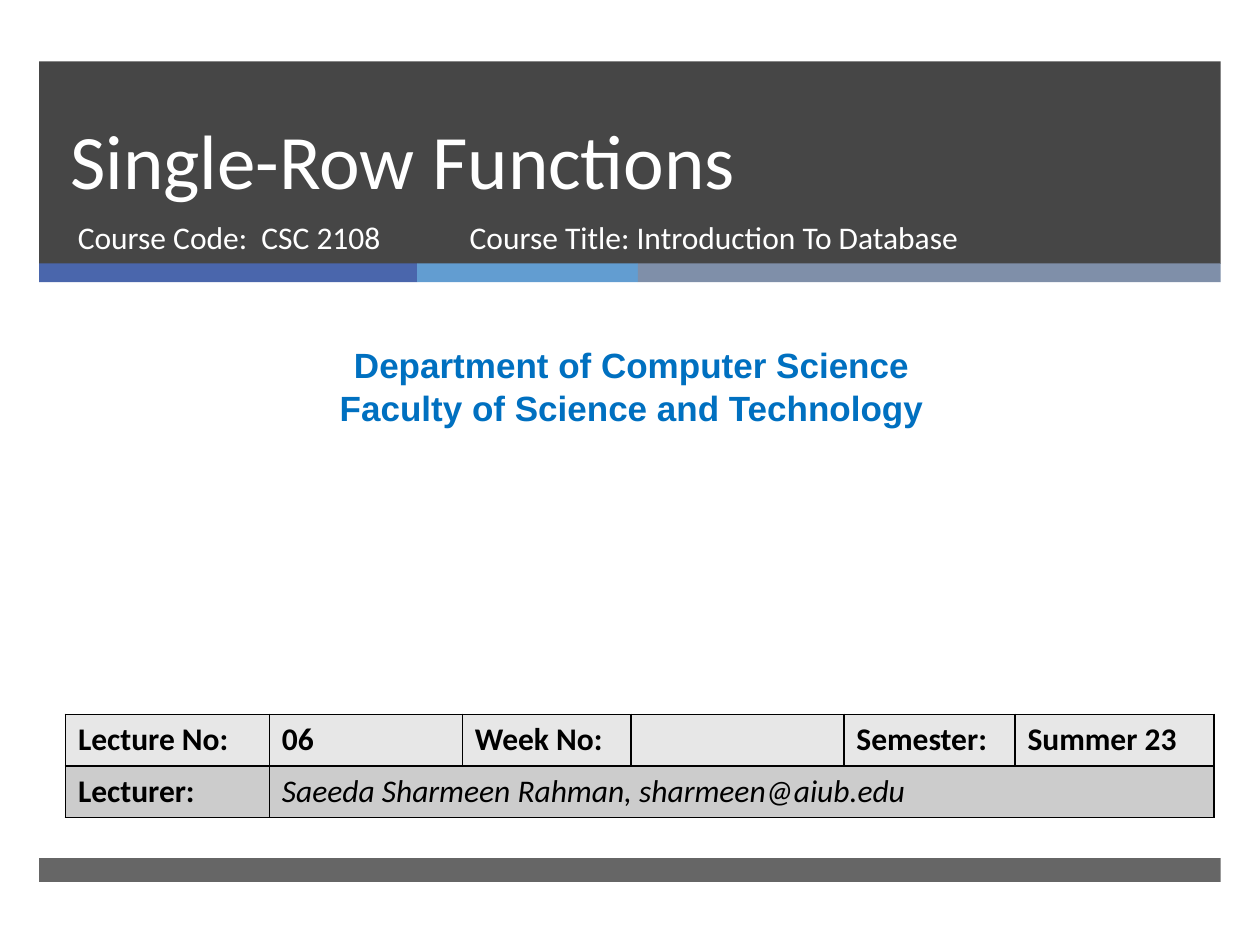
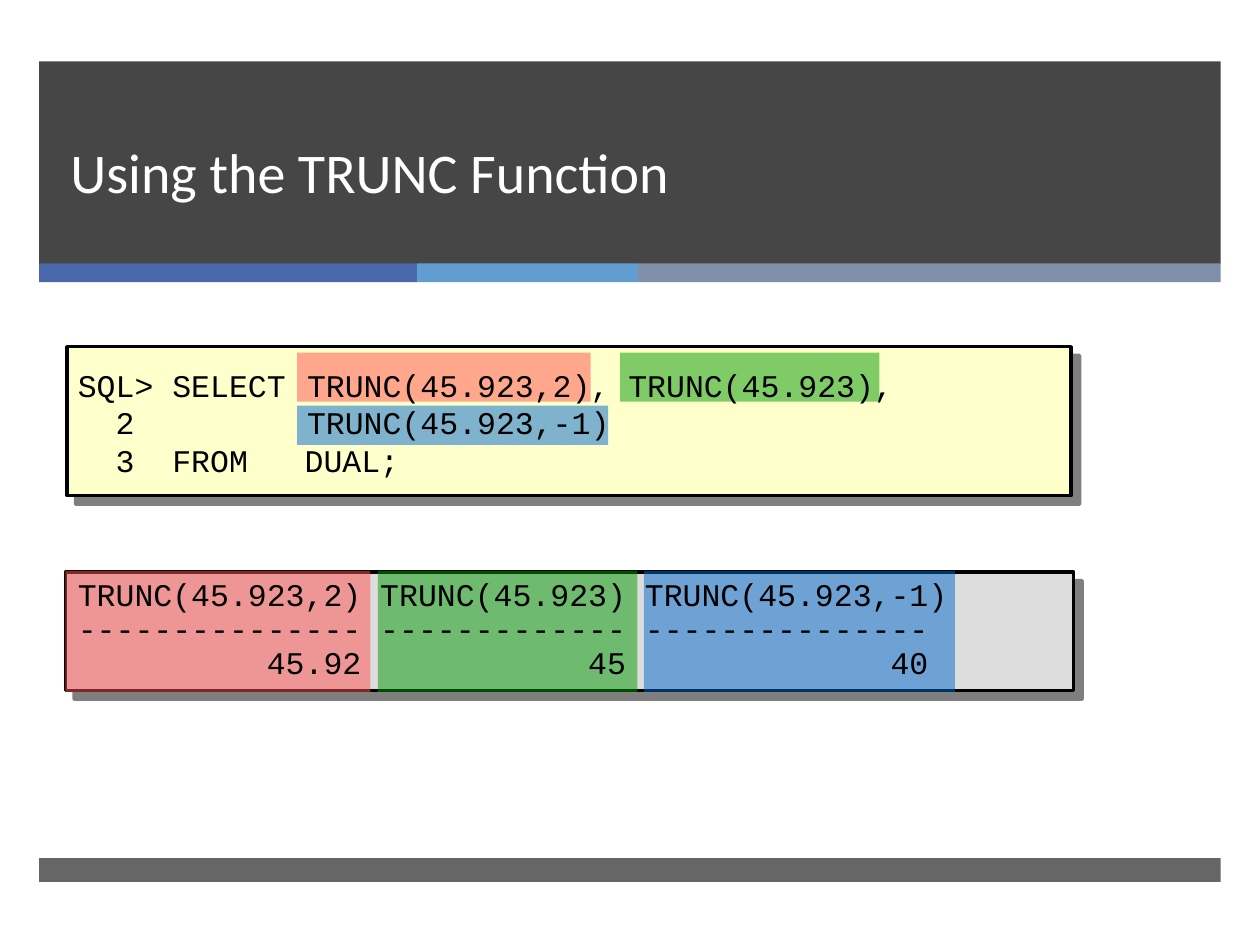
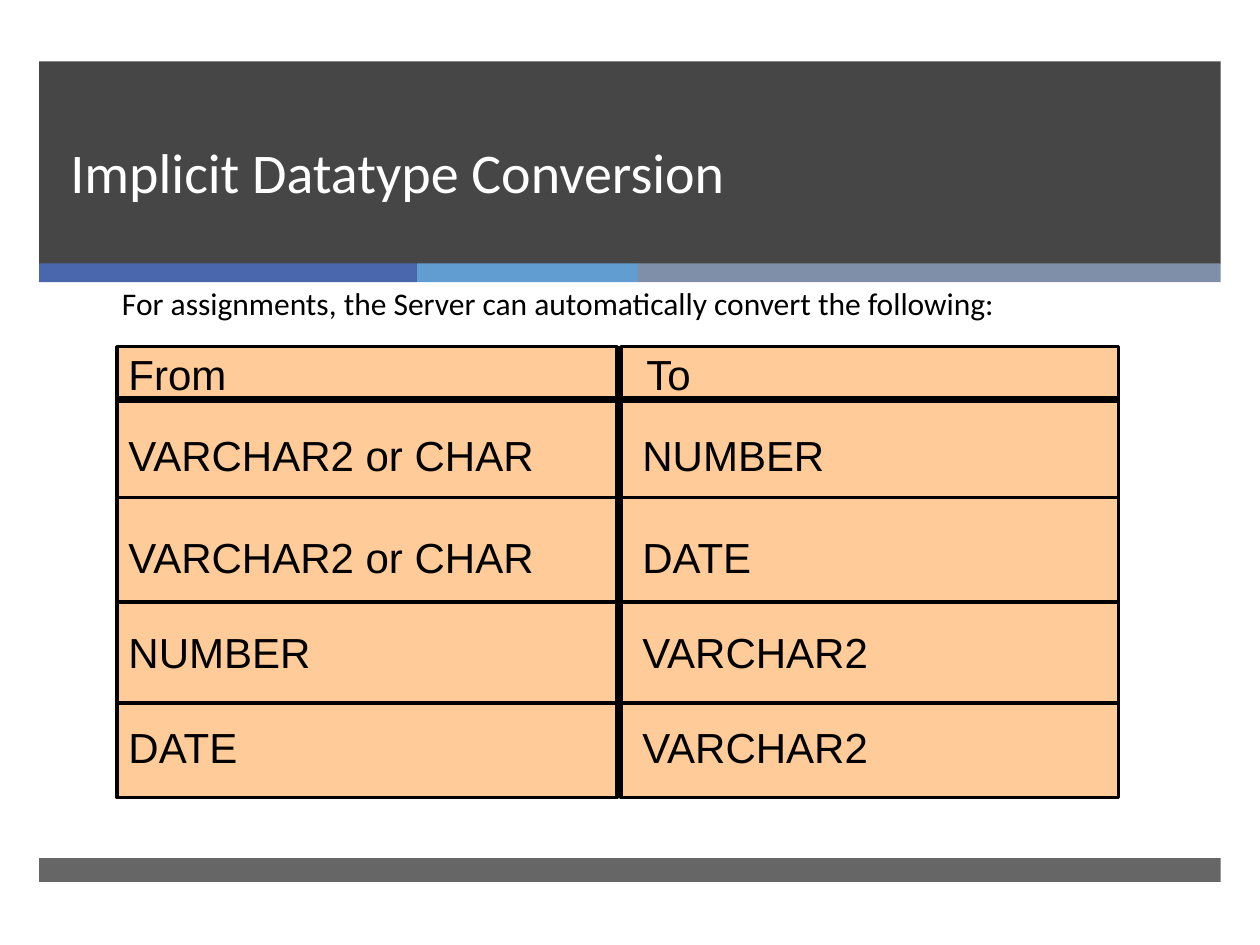
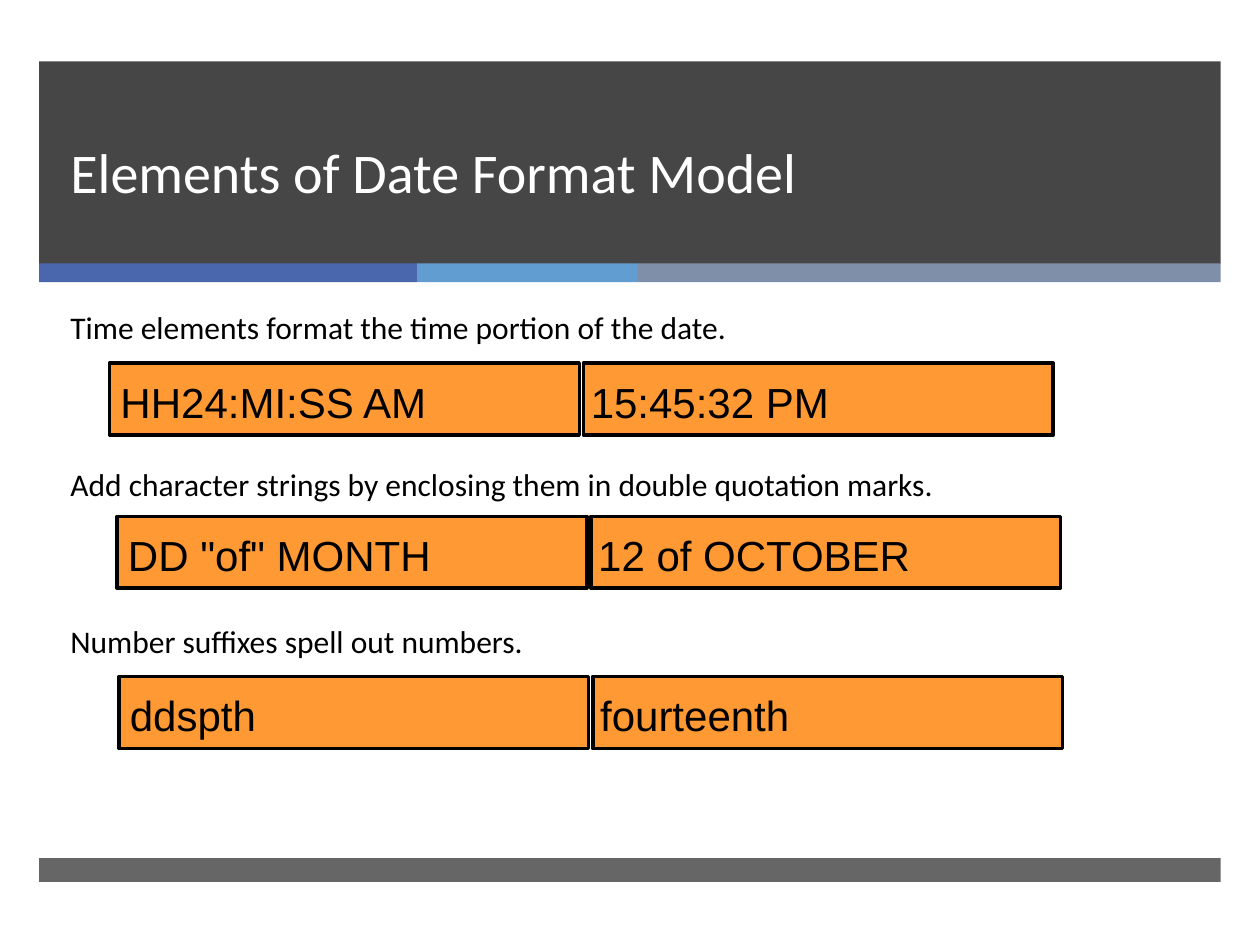
from lxml.etree import SubElement
from pptx import Presentation
from pptx.dml.color import RGBColor
from pptx.enum.shapes import MSO_CONNECTOR, MSO_SHAPE
from pptx.enum.text import MSO_ANCHOR, PP_ALIGN
from pptx.oxml.ns import qn
from pptx.util import Cm, Pt

BLACK = RGBColor(0x00, 0x00, 0x00)
WHITE = RGBColor(0xFF, 0xFF, 0xFF)
DARK = RGBColor(0x26, 0x26, 0x26)
NAVY = RGBColor(0x4A, 0x66, 0xAC)
SKY = RGBColor(0x62, 0x9D, 0xD1)
SLATE = RGBColor(0x7F, 0x8F, 0xA9)
BLUE = RGBColor(0x00, 0x70, 0xC0)
CREAM = RGBColor(0xFF, 0xFF, 0xCC)
SILVER = RGBColor(0xDD, 0xDD, 0xDD)
RED = RGBColor(0xFF, 0x50, 0x50)
GREEN = RGBColor(0x00, 0x99, 0x00)
COBALT = RGBColor(0x00, 0x66, 0xCC)
PEACH = RGBColor(0xFF, 0xCC, 0x99)
ORANGE = RGBColor(0xFF, 0x99, 0x33)
LIGHT = RGBColor(0xE7, 0xE7, 0xE7)
GREY = RGBColor(0xCC, 0xCC, 0xCC)

BODY, SANS, MONO = "Calibri", "Arial", "Courier New"
LEFT, WIDTH = 0.79, 23.82


def add_box(slide, x, y, w, h, color, alpha=100, line=0, shadow=False):
    """Add a filled rectangle; alpha is the opacity in percent."""
    box = slide.shapes.add_shape(
        MSO_SHAPE.RECTANGLE, Cm(x), Cm(y), Cm(w), Cm(h))
    box.shadow.inherit = False
    box.fill.solid()
    box.fill.fore_color.rgb = color
    props = box._element.spPr
    if alpha < 100:
        tint = props.find(".//" + qn("a:srgbClr"))
        SubElement(tint, qn("a:alpha"), val=str(alpha * 1000))
    if line:
        box.line.color.rgb = BLACK
        box.line.width = Pt(line)
    else:
        box.line.fill.background()
    if shadow:
        drop = SubElement(
            props.find(qn("a:effectLst")), qn("a:outerShdw"), blurRad="0",
            dist=str(Pt(7.1)), dir="2700000", algn="ctr", rotWithShape="0")
        shade = SubElement(drop, qn("a:srgbClr"), val="000000")
        SubElement(shade, qn("a:alpha"), val="50000")


def style(para, size, font=BODY, color=BLACK, bold=False, italic=False):
    for run in para.runs:
        face = run.font
        face.name, face.size = font, Pt(size)
        face.bold, face.italic = bold, italic
        face.color.rgb = color


def add_text(slide, lines, x, y, w, h, size=18, font=BODY, color=BLACK,
             bold=False, align=PP_ALIGN.LEFT, anchor=MSO_ANCHOR.TOP,
             pitch=None, gap=0, tabs=()):
    """Add one paragraph per line; gap is the space between them in points."""
    frame = slide.shapes.add_textbox(Cm(x), Cm(y), Cm(w), Cm(h)).text_frame
    frame.word_wrap = True
    frame.vertical_anchor = anchor
    frame.text = "\n".join(lines)
    for i, para in enumerate(frame.paragraphs):
        if tabs:
            stops = SubElement(para._p.get_or_add_pPr(), qn("a:tabLst"))
            for stop in tabs:
                SubElement(stops, qn("a:tab"), pos=str(Cm(stop)), algn="l")
        para.alignment = align
        if pitch:
            para.line_spacing = pitch
        if gap and i:
            para.space_before = Pt(gap)
        style(para, size, font, color, bold)


def add_rule(slide, x, y, end, width):
    rule = slide.shapes.add_connector(
        MSO_CONNECTOR.STRAIGHT, Cm(x), Cm(y), Cm(end), Cm(y))
    rule.line.color.rgb = BLACK
    rule.line.width = Pt(width)
    SubElement(rule._element.spPr, qn("a:effectLst"))


def set_cell(cell, text, fill, bold=True):
    cell.fill.solid()
    cell.fill.fore_color.rgb = fill
    cell.text = text
    style(cell.text_frame.paragraphs[0], 18, bold=bold, italic=not bold)
    props = cell._tc.get_or_add_tcPr()
    for i, side in enumerate(("lnL", "lnR", "lnT", "lnB")):
        edge = props.makeelement(qn("a:" + side), {"w": str(Pt(1))})
        paint = SubElement(edge, qn("a:solidFill"))
        SubElement(paint, qn("a:srgbClr"), val="000000")
        props.insert(i, edge)


def add_slide(deck, title, size=32):
    """Add a slide with the shared title band, stripes and footer bar."""
    slide = deck.slides.add_slide(deck.slide_layouts[6])
    add_box(slide, LEFT, 1.24, WIDTH, 4.08, DARK, 85)
    x = LEFT
    for width, color in ((7.62, NAVY), (4.45, SKY), (11.75, SLATE)):
        add_box(slide, x, 5.31, width, 0.38, color)
        x += width
    add_box(slide, LEFT, 17.3, WIDTH, 0.48, DARK, 70)
    add_text(slide, [title], 1.17, 1.24, 21.69, 3.02, size, color=WHITE,
             anchor=MSO_ANCHOR.BOTTOM, pitch=Pt(46))
    return slide


def add_cover(deck):
    slide = add_slide(deck, "Single-Row Functions", 44)
    add_text(slide, ["Course Code:  CSC 2108"], 1.32, 4.27, 7.75, 1.35,
             color=WHITE)
    add_text(slide, ["Course Title: Introduction To Database"],
             9.22, 4.27, 11.56, 1.35, color=WHITE)
    add_text(slide, ["Department of Computer Science",
                     "Faculty of Science and Technology"],
             0.2, 6.81, 25.07, 1.96, 20, SANS, BLUE, True, PP_ALIGN.CENTER)
    widths = (4.11, 3.89, 3.4, 4.29, 3.45, 4.01)
    table = slide.shapes.add_table(
        2, len(widths), Cm(1.32), Cm(14.4), Cm(sum(widths)), Cm(2.08)).table
    for col, width in zip(table.columns, widths):
        col.width = Cm(width)
    heads = ("Lecture No:", "06", "Week No:", "", "Semester:", "Summer 23")
    names = ("Lecturer:", "Saeeda Sharmeen Rahman, sharmeen@aiub.edu",
             "", "", "", "")
    for i, text in enumerate(heads):
        set_cell(table.cell(0, i), text, LIGHT)
    for i, text in enumerate(names):
        set_cell(table.cell(1, i), text, GREY, bold=i == 0)
    table.cell(1, 1).merge(table.cell(1, 5))


def add_trunc(deck):
    slide = add_slide(deck, "Using the TRUNC Function")
    add_box(slide, 1.35, 6.99, 20.24, 3, CREAM, line=2, shadow=True)
    add_box(slide, 1.32, 11.53, 20.32, 2.39, SILVER, line=2, shadow=True)
    # Result column, then the matching call in the query
    marks = (
        (RED, (1.32, 6.15), (5.99, 7.11, 5.92, 0.99)),
        (GREEN, (7.62, 5.23), (12.5, 7.11, 5.23, 0.99)),
        (COBALT, (12.98, 6.27), (5.99, 8.18, 6.27, 0.79)),
    )
    for color, (x, width), call in marks:
        add_box(slide, x, 11.51, width, 2.44, color, 50)
        add_box(slide, *call, color, 50)
    add_text(slide, ["SQL> SELECT \tTRUNC(45.923,2), TRUNC(45.923),",
                     "  2  \t\tTRUNC(45.923,-1)",
                     "  3  FROM   DUAL;"],
             1.32, 6.32, 20.32, 4.39, font=MONO, anchor=MSO_ANCHOR.MIDDLE,
             tabs=(3.33, 4.62))
    add_text(slide, ["TRUNC(45.923,2) TRUNC(45.923) TRUNC(45.923,-1)",
                     "--------------- ------------- ---------------",
                     "          45.92            45              40"],
             1.32, 11.56, 20.24, 2.31, font=MONO, pitch=0.9, tabs=(3.33,))


def add_types(deck):
    slide = add_slide(deck, "Implicit Datatype Conversion")
    add_text(slide, ["For assignments, the Server can automatically convert "
                     "the following:"], 2.21, 5.61, 21.59, 2.51)
    for x, width in ((2.36, 10.08), (12.52, 10.03)):
        add_box(slide, x, 6.99, width, 9.09, PEACH, line=2)
    for y, width in ((8.05, 4), (10.03, 2), (12.14, 2), (14.17, 2)):
        add_rule(slide, 2.34, y, 22.56, width)
    rows = (
        (6.91, "From", "To"),
        (8.53, "VARCHAR2 or CHAR", "NUMBER"),
        (10.59, "VARCHAR2 or CHAR", "DATE"),
        (12.5, "NUMBER", "VARCHAR2"),
        (14.43, "DATE", "VARCHAR2"),
    )
    for y, old, new in rows:
        shift = 0.08 if new == "To" else 0
        add_text(slide, [old], 2.34, y, 10.19, 1.27, 24, SANS)
        add_text(slide, [new], 12.7 + shift, y, 9.65, 1.27, 24, SANS)


def add_dates(deck):
    slide = add_slide(deck, "Elements of Date Format Model")
    add_text(slide, [
        "Time elements format the time portion of the date.",
        "Add character strings by enclosing them in double quotation marks.",
        "Number suffixes spell out numbers.",
    ], 1.17, 6.05, 20.52, 9.78, pitch=1.05, gap=67)
    pairs = (
        (2.21, 7.32, "HH24:MI:SS AM", "15:45:32 PM"),
        (2.36, 10.41, 'DD "of" MONTH', "12 of OCTOBER"),
        (2.4, 13.64, "ddspth", "fourteenth"),
    )
    for x, y, model, value in pairs:
        for i, text in enumerate((model, value)):
            left = x + i * 9.55
            add_box(slide, left, y, 9.47, 1.45, ORANGE, line=2)
            add_text(slide, [text], left - 0.03 - i * 0.07, y + 0.14,
                     9.45, 1.27, 24, SANS)


def main():
    deck = Presentation()
    deck.slide_width, deck.slide_height = Cm(25.4), Cm(19.05)
    add_cover(deck)
    add_trunc(deck)
    add_types(deck)
    add_dates(deck)
    deck.save("out.pptx")


if __name__ == "__main__":
    main()
